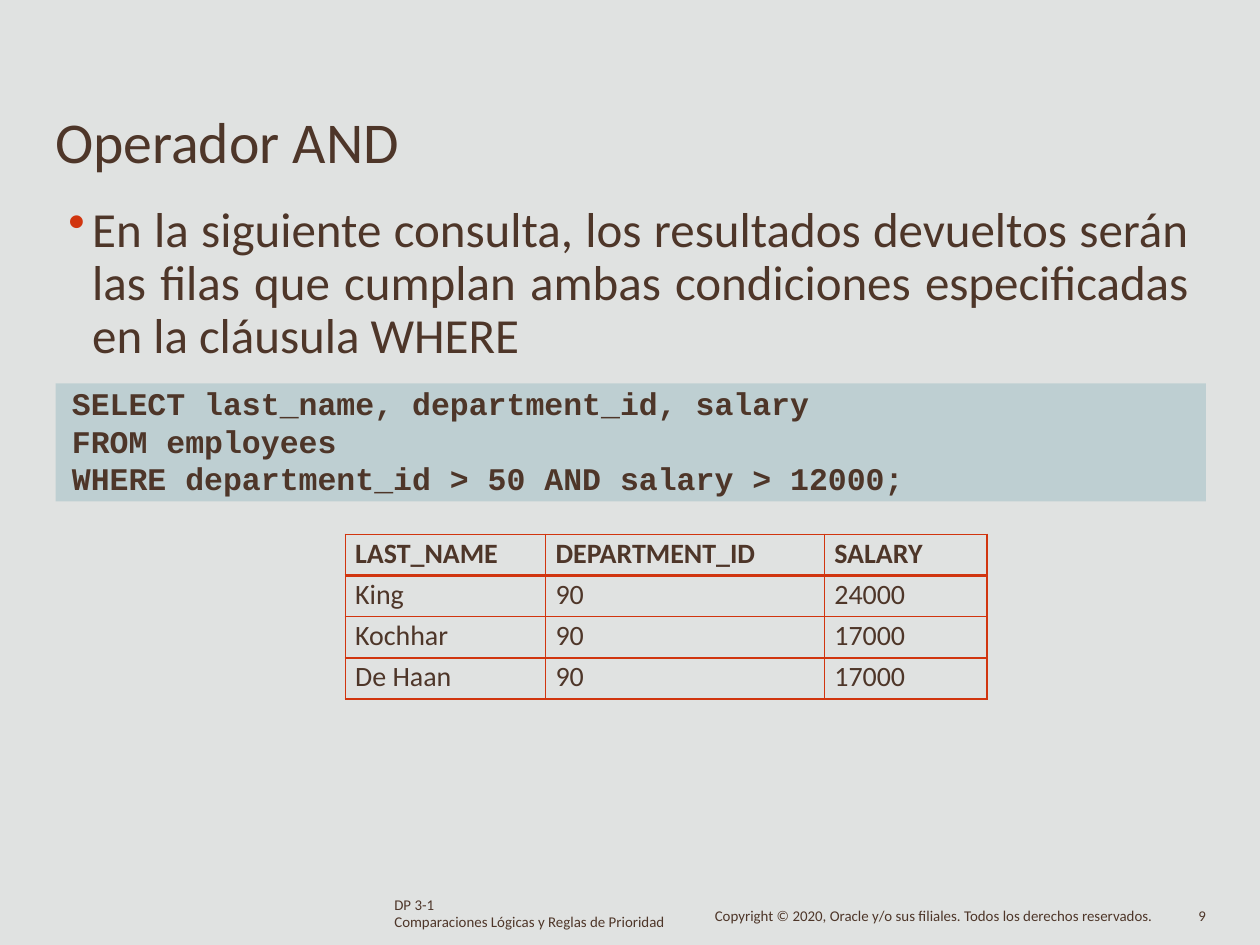
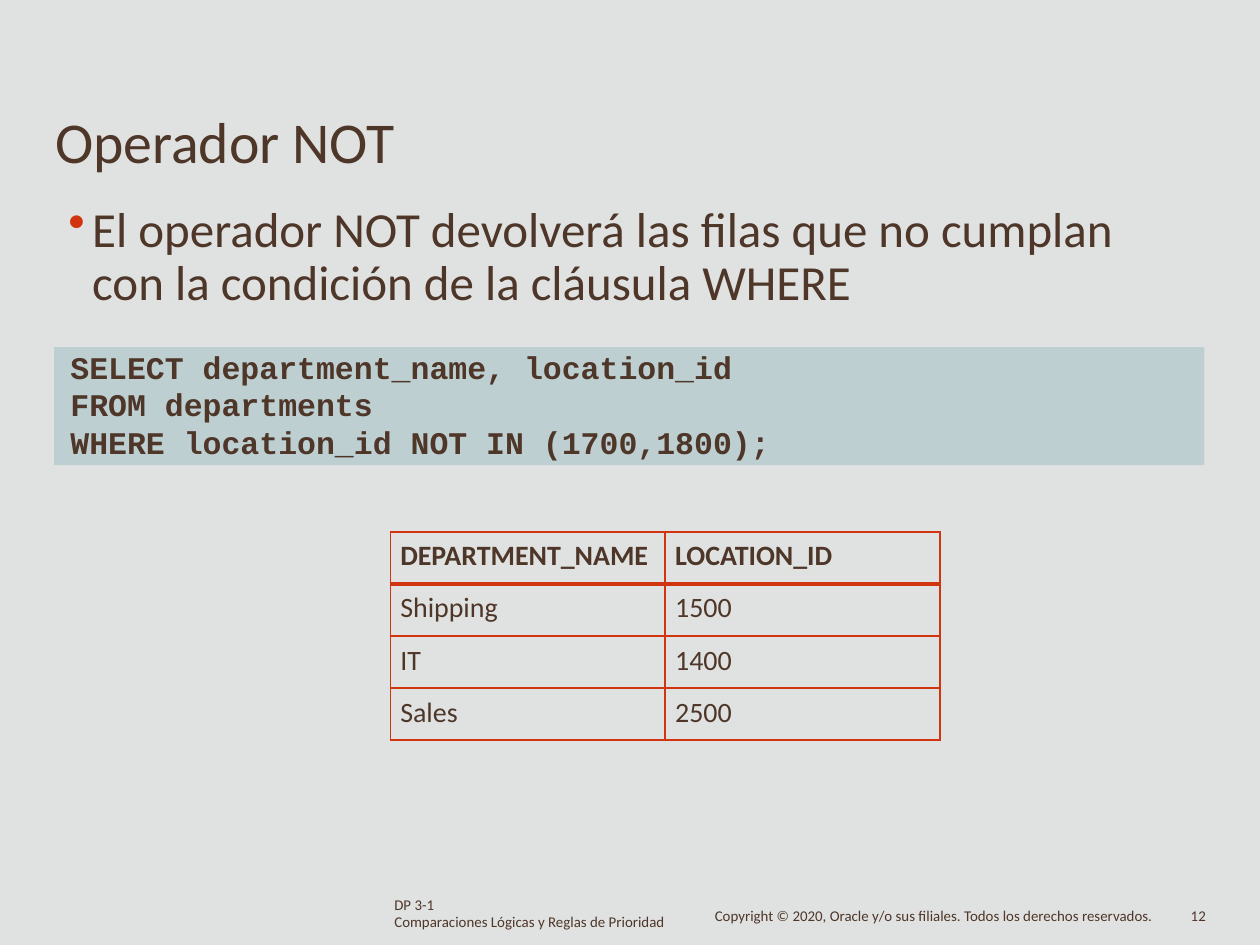
from lxml import etree
from pptx import Presentation
from pptx.dml.color import RGBColor
from pptx.enum import shapes, text
from pptx.oxml import ns
from pptx.util import Cm, Pt

BROWN = RGBColor(0x4E, 0x36, 0x29)
RED = RGBColor(0xD1, 0x35, 0x0F)
TEAL = RGBColor(0x9D, 0xBE, 0xC4)
BACKDROP = RGBColor(0xE0, 0xE2, 0xE1)

LEFT, JUSTIFY, RIGHT = (text.PP_ALIGN.LEFT, text.PP_ALIGN.JUSTIFY,
                        text.PP_ALIGN.RIGHT)
TITLE_FONT = dict(name="Calibri", size=Pt(33), bold=False)
BODY_FONT = dict(name="Calibri", size=Pt(28))
CODE_FONT = dict(name="Courier New", size=Pt(18), bold=True)
CELL_FONT = dict(name="Calibri", size=Pt(16))
FOOTER_FONT = dict(name="Calibri", size=Pt(8.5))

# Boxes are left, top, width, height in centimetres.
TITLE_BOX = (1.09, 2.08, 23.22, 1.47)
LESSON_BOX = (7.92, 18.08, 5.8, 0.69)
COPYRIGHT_BOX = (14.38, 18.31, 9, 0.38)
NUMBER_BOX = (23.6, 18.31, 0.71, 0.38)

LESSON = ["DP 3-1", "Comparaciones Lógicas y Reglas de Prioridad"]
COPYRIGHT = ["Copyright © 2020, Oracle y/o sus filiales. "
             "Todos los derechos reservados."]

SLIDES = [
    dict(
        number=9,
        title="Operador AND",
        body="En la siguiente consulta, los resultados devueltos serán las "
             "filas que cumplan ambas condiciones especificadas en la "
             "cláusula WHERE",
        body_box=(1.35, 3.94, 22.61, 3.38),
        body_align=JUSTIFY,
        query=["SELECT last_name, department_id, salary",
               "FROM employees",
               "WHERE department_id > 50 AND salary > 12000;"],
        query_box=(1.12, 7.73, 23.19, 2.38),
        result=[("LAST_NAME", "DEPARTMENT_ID", "SALARY"),
                ("King", "90", "24000"),
                ("Kochhar", "90", "17000"),
                ("De Haan", "90", "17000")],
        result_at=(6.96, 10.77),
        columns=(4.04, 5.62, 3.28),
        row_height=0.83,
        cell_top=0.05,
    ),
    dict(
        number=12,
        title="Operador NOT",
        body="El operador NOT devolverá las filas que no cumplan con la "
             "condición de la cláusula WHERE",
        body_box=(1.35, 3.94, 21.13, 2.31),
        body_align=LEFT,
        query=["SELECT department_name, location_id",
               "FROM departments",
               "WHERE location_id NOT IN (1700,1800);"],
        query_box=(1.09, 7, 23.19, 2.38),
        result=[("DEPARTMENT_NAME", "LOCATION_ID"),
                ("Shipping", "1500"),
                ("IT", "1400"),
                ("Sales", "2500")],
        result_at=(7.87, 10.72),
        columns=(5.54, 5.54),
        row_height=1.05,
        cell_top=0.15,
    ),
]


def cm(box):
    return [Cm(length) for length in box]


def set_all(target, values):
    for name, value in values.items():
        setattr(target, name, value)


def write(frame, lines, font, spacing=None, align=LEFT, left=0, top=0):
    """Fill a text frame, one paragraph a line, with margins in cm."""
    set_all(frame, dict(margin_left=Cm(left), margin_top=Cm(top),
                        margin_right=0, margin_bottom=0, word_wrap=True,
                        auto_size=text.MSO_AUTO_SIZE.NONE,
                        vertical_anchor=text.MSO_ANCHOR.TOP))
    frame.text = "\n".join(lines)
    for paragraph in frame.paragraphs:
        paragraph.alignment = align
        if spacing:
            paragraph.line_spacing = Pt(spacing)
        for run in paragraph.runs:
            set_all(run.font, font)
            run.font.color.rgb = BROWN


def add_text(slide, box, lines, font, **layout):
    frame = slide.shapes.add_textbox(*cm(box)).text_frame
    write(frame, lines, font, **layout)
    return frame


def add_title(slide, title):
    placeholder = slide.shapes.title
    sides = ("left", "top", "width", "height")
    set_all(placeholder, dict(zip(sides, cm(TITLE_BOX))))
    write(placeholder.text_frame, [title], TITLE_FONT, left=0.02, top=0.05)


def add_body(slide, content):
    frame = add_text(slide, content["body_box"], [content["body"]], BODY_FONT,
                     spacing=30.3, align=content["body_align"], top=0.18)
    properties = frame.paragraphs[0]._p.get_or_add_pPr()
    properties.set("marL", str(Cm(0.51)))
    properties.set("indent", str(Cm(-0.48)))
    color = etree.SubElement(properties, ns.qn("a:buClr"))
    etree.SubElement(color, ns.qn("a:srgbClr"), val=str(RED))
    etree.SubElement(properties, ns.qn("a:buChar"), char="•")


def add_query(slide, content):
    panel = slide.shapes.add_shape(shapes.MSO_SHAPE.RECTANGLE,
                                   *cm(content["query_box"]))
    panel.shadow.inherit = False
    panel.line.fill.background()
    panel.fill.solid()
    panel.fill.fore_color.rgb = TEAL
    color = panel._element.spPr.find(".//" + ns.qn("a:srgbClr"))
    etree.SubElement(color, ns.qn("a:alpha"), val="50000")
    write(panel.text_frame, content["query"], CODE_FONT, spacing=21.4,
          left=0.33, top=0.02)


def set_borders(cell, widths):
    """Draw the cell edges; widths maps L, R, T and B to points."""
    properties = cell._tc.get_or_add_tcPr()
    for side, width in widths.items():
        line = etree.SubElement(properties, ns.qn(f"a:ln{side}"),
                                w=str(Pt(width)))
        fill = etree.SubElement(line, ns.qn("a:solidFill"))
        etree.SubElement(fill, ns.qn("a:srgbClr"), val=str(RED))


def add_result(slide, content):
    rows, columns = content["result"], content["columns"]
    size = (sum(columns), content["row_height"] * len(rows))
    table = slide.shapes.add_table(
        len(rows), len(columns), *cm(content["result_at"] + size)).table
    set_all(table, dict(first_row=False, horz_banding=False))
    for column, width in zip(table.columns, columns):
        column.width = Cm(width)
    for r, values in enumerate(rows):
        table.rows[r].height = Cm(content["row_height"])
        for c, value in enumerate(values):
            cell = table.cell(r, c)
            set_all(cell, dict(margin_left=Cm(0.2), margin_right=0,
                               margin_top=Cm(content["cell_top"]),
                               margin_bottom=0))
            set_borders(cell, dict(L=1, R=1, T=2.25 if r == 1 else 1,
                                   B=2.25 if r == 0 else 1))
            cell.fill.background()
            cell.text = value
            font = cell.text_frame.paragraphs[0].runs[0].font
            set_all(font, dict(CELL_FONT, bold=r == 0))
            font.color.rgb = BROWN


def add_footer(slide, number):
    add_text(slide, LESSON_BOX, LESSON, FOOTER_FONT, spacing=9.7, left=0.03)
    add_text(slide, COPYRIGHT_BOX, COPYRIGHT, FOOTER_FONT, spacing=9.1,
             left=0.03)
    add_text(slide, NUMBER_BOX, [str(number)], FOOTER_FONT, spacing=9.1,
             align=RIGHT)


def main():
    deck = Presentation()
    deck.slide_width, deck.slide_height = Cm(25.4), Cm(19.05)
    backdrop = deck.slide_master.background.fill
    backdrop.solid()
    backdrop.fore_color.rgb = BACKDROP
    title_only = deck.slide_layouts[5]
    for content in SLIDES:
        slide = deck.slides.add_slide(title_only)
        add_title(slide, content["title"])
        add_footer(slide, content["number"])
        add_body(slide, content)
        add_result(slide, content)
        add_query(slide, content)
    deck.save("out.pptx")


if __name__ == "__main__":
    main()
